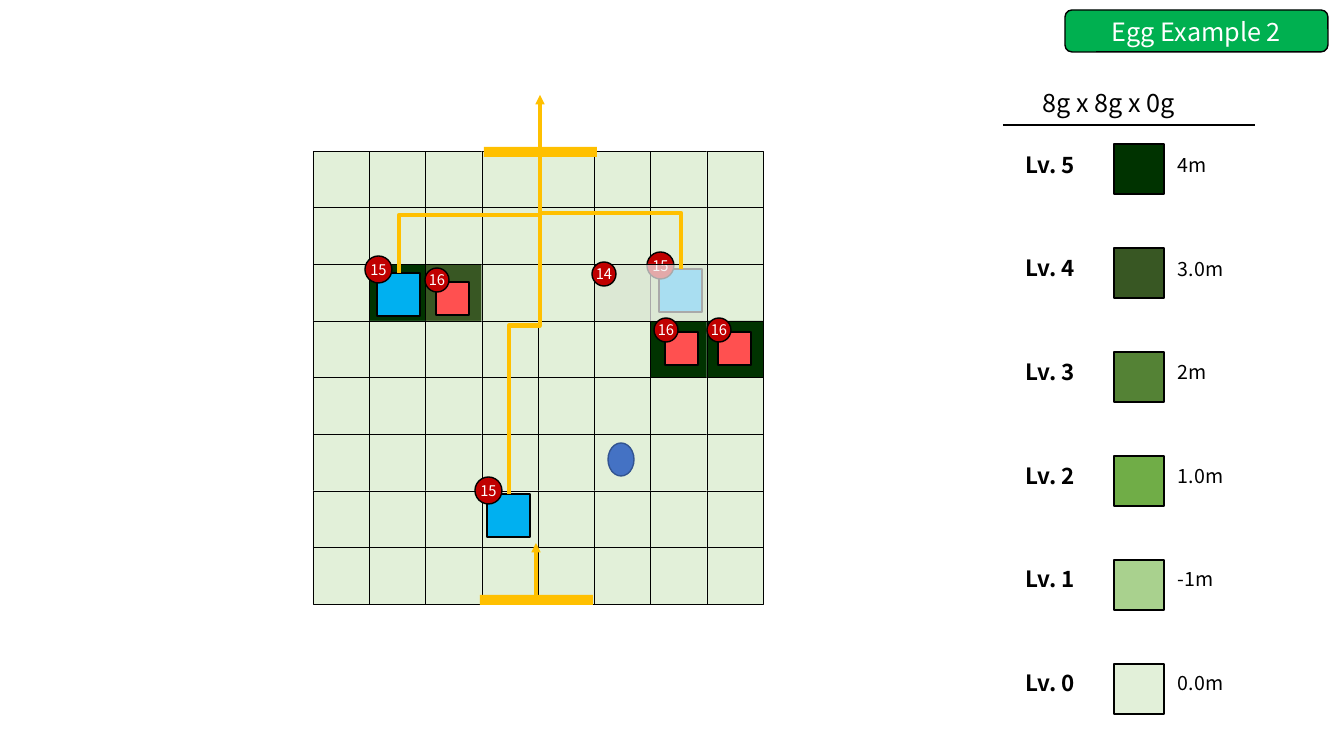
from pptx import Presentation
from pptx.dml.color import RGBColor
from pptx.enum.shapes import MSO_CONNECTOR, MSO_SHAPE
from pptx.enum.text import MSO_ANCHOR, MSO_AUTO_SIZE, PP_ALIGN
from pptx.oxml.ns import qn
from pptx.util import Pt
from lxml import etree

RECT, ROUNDED, OVAL = MSO_SHAPE.RECTANGLE, MSO_SHAPE.ROUNDED_RECTANGLE, MSO_SHAPE.OVAL
STRAIGHT, ELBOW = MSO_CONNECTOR.STRAIGHT, MSO_CONNECTOR.ELBOW
LEFT, CENTER = PP_ALIGN.LEFT, PP_ALIGN.CENTER
MIDDLE, GROW = MSO_ANCHOR.MIDDLE, MSO_AUTO_SIZE.SHAPE_TO_FIT_TEXT
FONT = "Noto Sans CJK KR"
BLACK, WHITE, GOLD, BLUE, RED = "000000", "FFFFFF", "FFC000", "00B0F0", "FF5050"
LEVEL_COLORS = ["E2F0D9", "A9D18E", "70AD47", "548235", "385723", "003300"]
LEVEL_HEIGHTS = ["0.0m", "-1m", "1.0m", "2m", "3.0m", "4m"]
QUARTER_TURN_LEFT = "16200000"


def px(length):
    return round(length * 914400 / 100.8)


def color(code):
    return RGBColor.from_string(code)


def apply(target, formats):
    for name, value in formats.items():
        setattr(target, name, value)


class Page:
    def __init__(self, deck):
        self.shapes = deck.slides.add_slide(deck.slide_layouts[6]).shapes

    def add_text(self, shape, text, size, code, align=LEFT, bold=False):
        para = shape.text_frame.paragraphs[0]
        para.alignment = align
        span = para.add_run()
        span.text = text
        apply(span.font, {"name": FONT, "size": Pt(size), "bold": bold})
        span.font.color.rgb = color(code)

    def shape(self, kind, left, top, width, height, fill, line=BLACK, weight=1, opacity=100):
        box = self.shapes.add_shape(kind, px(left), px(top), px(width), px(height))
        box.shadow.inherit = False
        box.fill.solid()
        box.fill.fore_color.rgb = color(fill)
        if opacity < 100:
            tint = box._element.spPr.find(qn("a:solidFill"))[0]
            etree.SubElement(tint, qn("a:alpha")).set("val", str(opacity * 1000))
        if line:
            box.line.color.rgb = color(line)
            box.line.width = Pt(weight)
        else:
            box.line.fill.background()
        return box

    def label(self, text, left, top, width, height, size, bold=False):
        box = self.shapes.add_textbox(px(left), px(top), px(width), px(height))
        apply(box.text_frame, {"word_wrap": True, "auto_size": GROW})
        self.add_text(box, text, size, BLACK, bold=bold)

    def line(self, x1, y1, x2, y2, code, weight, kind=STRAIGHT, arrow=False):
        line = self.shapes.add_connector(kind, px(x1), px(y1), px(x2), px(y2))
        line.line.color.rgb = color(code)
        line.line.width = Pt(weight)
        outline = line._element.spPr.find(qn("a:ln"))
        if arrow:
            etree.SubElement(outline, qn("a:tailEnd")).set("type", "triangle")
        etree.SubElement(line._element.spPr, qn("a:effectLst"))
        return line

    def route(self, x1, y1, x2, y2):
        middle_x, middle_y = (x1 + x2) / 2, (y1 + y2) / 2
        half_rise, half_shift = (y1 - y2) / 2, (x2 - x1) / 2
        line = self.line(middle_x - half_rise, middle_y - half_shift,
                         middle_x + half_rise, middle_y + half_shift, GOLD, 3, ELBOW)
        line._element.spPr.find(qn("a:xfrm")).set("rot", QUARTER_TURN_LEFT)

    def badge(self, text, left, top, size):
        disc = self.shape(OVAL, left, top, size, size, "C00000")
        apply(disc.text_frame, {"word_wrap": False, "vertical_anchor": MIDDLE, "margin_left": 0,
                                "margin_right": 0, "margin_top": 0, "margin_bottom": 0})
        self.add_text(disc, text, 10.5, WHITE, CENTER)

    def player(self, left, top):
        self.shape(RECT, left, top, 43, 43, BLUE)
        self.badge("15", left - 12, top - 17, 27)

    def rival(self, left, top):
        self.shape(RECT, left, top, 33, 33, RED)
        self.badge("16", left - 11, top - 14, 24)

    def gate(self, left, top):
        self.shape(RECT, left, top, 113, 10, GOLD, line=None)
        self.line(left + 56, top, left + 56, top - 52, GOLD, 2.25, arrow=True)


deck = Presentation()
deck.slide_width, deck.slide_height = px(1344), px(756)
page = Page(deck)

title = page.shape(ROUNDED, 1065, 10, 263, 42, "00B050")
title.text_frame.vertical_anchor = MIDDLE
page.add_text(title, "Egg Example 2", 18, WHITE, CENTER)

cells = 8
cell_width, cell_height = 450 / cells, 453 / cells
raised_cells = {(2, 1): 5, (2, 2): 4, (2, 5): 1, (2, 6): 1, (3, 6): 5, (3, 7): 5}
for row in range(cells):
    for column in range(cells):
        level = raised_cells.get((row, column), 0)
        page.shape(RECT, 313 + column * cell_width, 151 + row * cell_height,
                   cell_width, cell_height, LEVEL_COLORS[level], weight=0.25)

page.label("8g x 8g x 0g", 1033, 82, 256, 40, 18)
page.line(1003, 125, 1255, 125, BLACK, 1)
for level, (fill, height) in enumerate(zip(LEVEL_COLORS, LEVEL_HEIGHTS)):
    step = 5 - level
    page.shape(RECT, 1114, 144 + 104 * step, 50, 50, fill)
    text_top = 146 + 103.6 * step
    page.label(height, 1168, text_top + 2, 172, 34, 14)
    page.label(f"Lv. {level}", 1016, text_top, 108, 37, 16, bold=True)

page.player(377, 273)
page.rival(436, 282)
page.player(659, 269)
page.shape(RECT, 594, 264, 113, 57, "F2F2F2", weight=0.25, opacity=70)
page.badge("14", 592, 262, 24)
page.rival(718, 332)
page.rival(665, 332)
page.player(487, 494)

page.gate(484, 147)
page.gate(480, 595)
for start_x, start_y in [(399, 273), (509, 494), (681, 269)]:
    page.route(start_x, start_y, 540, 157)
page.shape(OVAL, 608, 443, 26, 33, "4472C4", line="325491")

deck.save("out.pptx")
